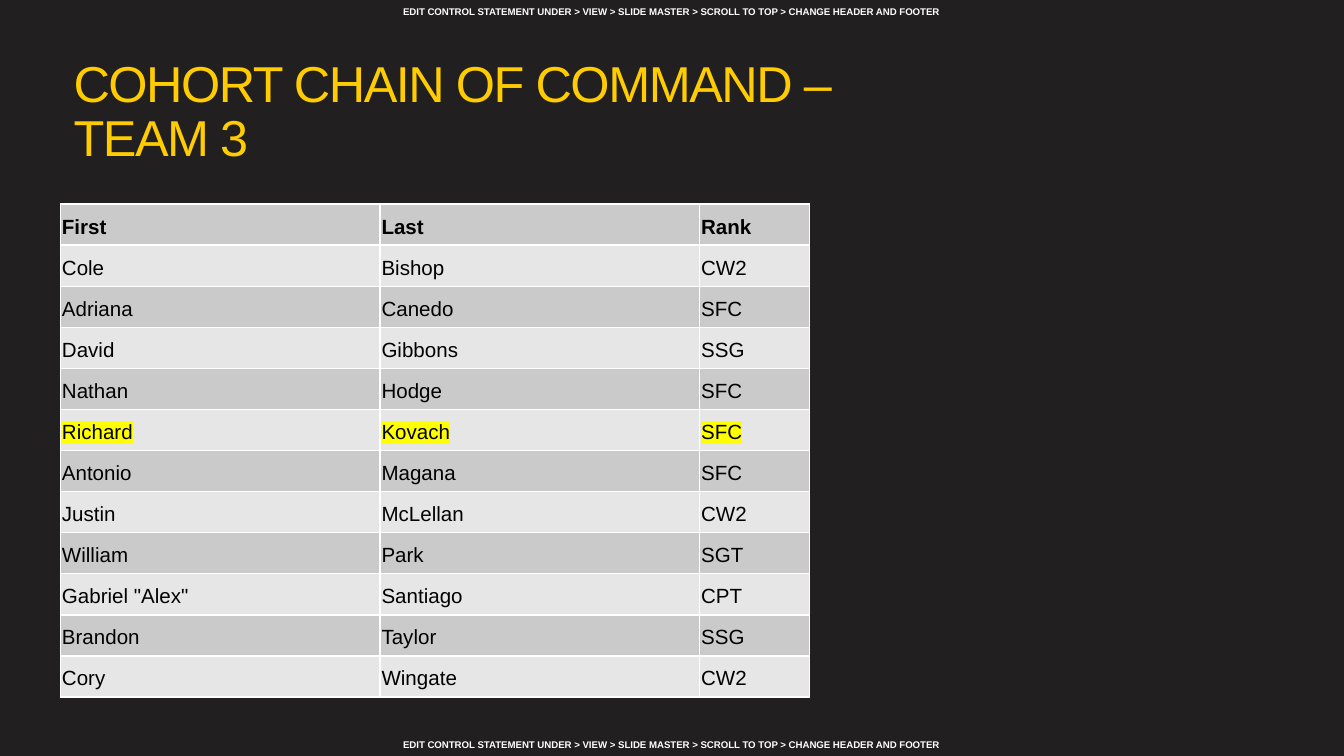
import pptx
import pptx.util
import pptx.dml.color
import pptx.enum.text
import pptx.oxml
import pptx.oxml.ns
from pptx.util import Cm

COLORS = {"background": "221F20", "title": "FFCC01", "white": "FFFFFF", "text": "000000",
          "dark row": "CACACA", "light row": "E6E6E6", "highlight": "FFFF00"}
ANCHOR = pptx.enum.text.MSO_ANCHOR
ALIGN = pptx.enum.text.PP_ALIGN
SIDES = ("left", "top", "right", "bottom")

CONTROL = ("EDIT CONTROL STATEMENT UNDER > VIEW > SLIDE MASTER > "
           "SCROLL TO TOP > CHANGE HEADER AND FOOTER")
ROSTER = [
    ("First", "Last", "Rank"),
    ("Cole", "Bishop", "CW2"),
    ("Adriana", "Canedo", "SFC"),
    ("David", "Gibbons", "SSG"),
    ("Nathan", "Hodge", "SFC"),
    ("Richard", "Kovach", "SFC"),
    ("Antonio", "Magana", "SFC"),
    ("Justin", "McLellan", "CW2"),
    ("William", "Park", "SGT"),
    ("Gabriel \"Alex\"", "Santiago", "CPT"),
    ("Brandon", "Taylor", "SSG"),
    ("Cory", "Wingate", "CW2"),
]
HIGHLIGHTED = "Kovach"


def rgb(name):
    return pptx.dml.color.RGBColor.from_string(COLORS[name])


def format_with(target, values):
    for name, value in values.items():
        setattr(target, name, value)


def margins(*lengths):
    return {f"margin_{side}": Cm(length) for side, length in zip(SIDES, lengths)}


def xml(tag, color, attributes=""):
    """Make a drawing element that holds one colour."""
    fill = f'<a:srgbClr val="{COLORS[color]}"/>'
    if tag != "highlight":
        fill = f"<a:solidFill>{fill}</a:solidFill>"
    namespace = pptx.oxml.ns.nsdecls("a")
    return pptx.oxml.parse_xml(f"<a:{tag} {namespace} {attributes}>{fill}</a:{tag}>")


class RosterSlide:
    font = "Arial"

    def __init__(self, deck):
        self.page = deck.slides.add_slide(deck.slide_layouts[5])
        self.page.background.fill.solid()
        self.page.background.fill.fore_color.rgb = rgb("background")

    def add_span(self, para, text, size, color, bold=False):
        span = para.add_run()
        span.text = text
        format_with(span.font, {"name": self.font, "size": pptx.util.Pt(size), "bold": bold})
        span.font.color.rgb = rgb(color)
        return span

    def title(self, text, left, top, width, height):
        box = self.page.shapes.title
        format_with(box, {"left": Cm(left), "top": Cm(top),
                          "width": Cm(width), "height": Cm(height)})
        format_with(box.text_frame, {"word_wrap": True, "vertical_anchor": ANCHOR.TOP,
                                     "auto_size": pptx.enum.text.MSO_AUTO_SIZE.NONE,
                                     **margins(0.25, 0.25, 0.25, 0.25)})
        para = box.text_frame.paragraphs[0]
        format_with(para, {"alignment": ALIGN.LEFT, "line_spacing": 0.9})
        span = self.add_span(para, text, 27, "title")
        span.font._element.set("spc", "-80")

    def control_line(self, top, anchor):
        box = self.page.shapes.add_textbox(Cm(2.9), Cm(top), Cm(19.6), Cm(0.48))
        format_with(box.text_frame, {"word_wrap": True, "vertical_anchor": anchor,
                                     **margins(0, 0.13, 0, 0.13)})
        para = box.text_frame.paragraphs[0]
        para.alignment = ALIGN.CENTER
        self.add_span(para, CONTROL, 5.2, "white", bold=True)

    def table(self, rows, left, top, widths, height):
        frame = self.page.shapes.add_table(len(rows), len(widths), Cm(left), Cm(top),
                                           Cm(sum(widths)), Cm(height))
        for column, width in zip(frame.table.columns, widths):
            column.width = Cm(width)
        for i, row in enumerate(rows):
            for j, text in enumerate(row):
                self.cell(frame.table.cell(i, j), text, header=i == 0,
                          fill="light row" if i % 2 else "dark row",
                          highlight=HIGHLIGHTED in row)

    def cell(self, cell, text, header, fill, highlight):
        format_with(cell, {"vertical_anchor": ANCHOR.BOTTOM, **margins(0.03, 0.03, 0.03, 0.13)})
        # Borders come before the fill in the cell properties
        for tag in ("lnL", "lnR", "lnT", "lnB"):
            cell._tc.get_or_add_tcPr().append(xml(tag, "white", 'w="12700"'))
        cell.fill.solid()
        cell.fill.fore_color.rgb = rgb(fill)
        span = self.add_span(cell.text_frame.paragraphs[0], text, 11, "text", bold=header)
        if highlight:
            color = span.font._element.find(pptx.oxml.ns.qn("a:solidFill"))
            color.addnext(xml("highlight", "highlight"))


def main():
    deck = pptx.Presentation()
    format_with(deck, {"slide_width": Cm(25.4), "slide_height": Cm(14.29)})
    slide = RosterSlide(deck)

    # Control statements at the bottom and top edges
    slide.control_line(13.81, ANCHOR.BOTTOM)
    slide.control_line(0, ANCHOR.TOP)

    # Title and team roster
    slide.title("COHORT CHAIN OF COMMAND – TEAM 3", 1.14, 0.86, 17.15, 2.49)
    slide.table(ROSTER, 1.14, 3.86, (6.04, 6.04, 2.08), 9.32)

    deck.save("out.pptx")


if __name__ == "__main__":
    main()
